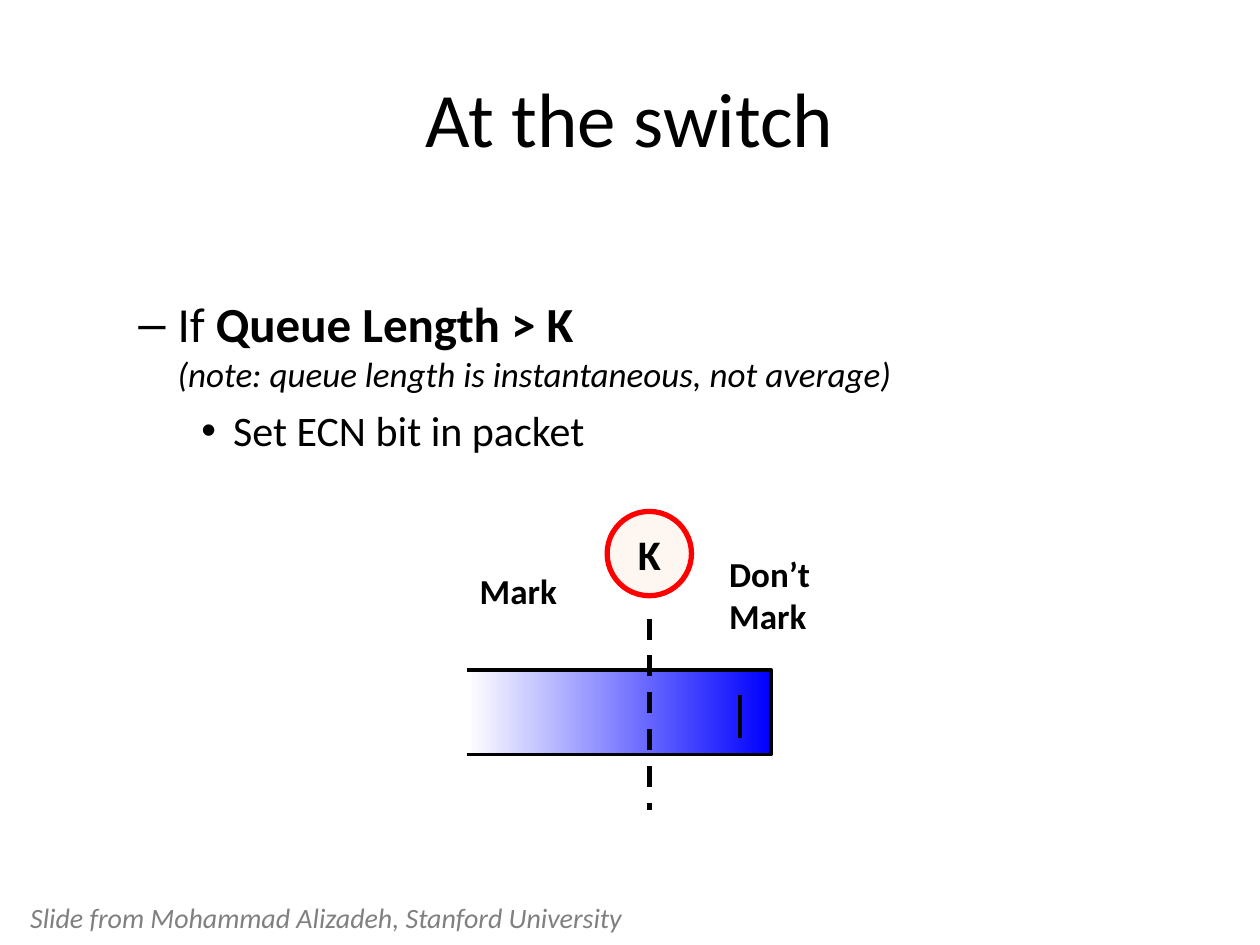
"""Build the slide on how a switch marks packets by queue length."""
from pptx import Presentation
from pptx import util as u
from pptx.dml.color import RGBColor
from pptx.enum import dml, shapes, text
from pptx.oxml.ns import qn
from lxml import etree

COLORS = {"black": "000000", "white": "FFFFFF", "blue": "0000FF",
          "red": "FF0000", "orange": "F79646", "gray": "808080"}


def set_font(paragraph, size, color="black", bold=False, italic=False):
    font = paragraph.font
    font.name, font.size = "Calibri", u.Pt(size)
    font.bold, font.italic = bold, italic
    font.color.rgb = RGBColor.from_string(COLORS[color])


def set_line(shape, width, color="black"):
    shape.line.width = u.Pt(width)
    shape.line.color.rgb = RGBColor.from_string(COLORS[color])


presentation = Presentation()
presentation.slide_width, presentation.slide_height = u.Cm(25.4), u.Cm(19.05)
slide = presentation.slides.add_slide(presentation.slide_layouts[6])

title = slide.shapes.add_textbox(u.Cm(1.27), u.Cm(0.76), u.Cm(22.86), u.Cm(3.18))
title.text_frame.word_wrap = True
title.text_frame.vertical_anchor = text.MSO_ANCHOR.MIDDLE
paragraph = title.text_frame.paragraphs[0]
paragraph.text = "At the switch"
paragraph.alignment = text.PP_ALIGN.CENTER
set_font(paragraph, 44)

body = slide.shapes.add_textbox(u.Cm(1.27), u.Cm(5.8), u.Cm(22.86), u.Cm(4.4))
body.text_frame.word_wrap = True
condition = body.text_frame.paragraphs[0]
action = body.text_frame.add_paragraph()
for paragraph, level, margin, indent, bullet, size in [
        (condition, 1, 2.06, -0.79, "–", 28), (action, 2, 3.18, -0.64, "•", 24)]:
    paragraph.level = level
    properties = paragraph._p.get_or_add_pPr()
    properties.set("marL", str(u.Cm(margin)))
    properties.set("indent", str(u.Cm(indent)))
    etree.SubElement(properties, qn("a:buFont")).set("typeface", "Arial")
    etree.SubElement(properties, qn("a:buChar")).set("char", bullet)
    set_font(paragraph, size)
condition.add_run().text = "If "
rule = condition.add_run()
rule.text = "Queue Length > K"
rule.font.bold = True
condition.add_line_break()
note = condition.add_run()
note.text = "(note: queue length is instantaneous, not average)"
note.font.size, note.font.italic = u.Pt(20), True
action.text = "Set ECN bit in packet"
action.space_before = u.Pt(5.8)

left, top, right, bottom = u.Cm(9.42), u.Cm(13.51), u.Cm(15.54), u.Cm(15.21)
builder = slide.shapes.build_freeform(left, top)
builder.add_line_segments([(right, top), (right, bottom), (left, bottom)], close=False)
queue = builder.convert_to_shape()
queue.shadow.inherit = False
queue.fill.gradient()
queue.fill.gradient_angle = 0
for stop, position, color in zip(queue.fill.gradient_stops, (0, 1), ("white", "blue")):
    stop.position = position
    stop.color.rgb = RGBColor.from_string(COLORS[color])
set_line(queue, 2.25)

for x, start, end, width, dash in [
        (14.91, 14.02, 14.88, 2.25, None),
        (13.09, 12.47, 16.33, 3, dml.MSO_LINE.DASH)]:
    connector = slide.shapes.add_connector(
        shapes.MSO_CONNECTOR.STRAIGHT, u.Cm(x), u.Cm(start), u.Cm(x), u.Cm(end))
    set_line(connector, width)
    connector.line.dash_style = dash
    etree.SubElement(connector._element.spPr, qn("a:effectLst"))

threshold = slide.shapes.add_shape(
    shapes.MSO_SHAPE.OVAL, u.Cm(12.24), u.Cm(10.31), u.Cm(1.7), u.Cm(1.7))
threshold.shadow.inherit = False
threshold.fill.solid()
threshold.fill.fore_color.rgb = RGBColor.from_string(COLORS["orange"])
fill_color = threshold._element.spPr.find(qn("a:solidFill"))[0]
etree.SubElement(fill_color, qn("a:alpha")).set("val", "8000")
set_line(threshold, 3, "red")
threshold.text_frame.vertical_anchor = text.MSO_ANCHOR.MIDDLE
paragraph = threshold.text_frame.paragraphs[0]
paragraph.text = "K"
paragraph.alignment = text.PP_ALIGN.CENTER
set_font(paragraph, 24, bold=True)

for x, y, width, height, wrap, words, size, color, bold in [
        (14.45, 11.02, 2.18, 1.96, True, "Don’t\nMark", 20, "black", True),
        (9.42, 11.35, 2.16, 1.12, True, "Mark", 20, "black", True),
        (0.36, 18.03, 12.75, 0.94, False,
         "Slide from Mohammad Alizadeh, Stanford University", 16, "gray", False)]:
    label = slide.shapes.add_textbox(u.Cm(x), u.Cm(y), u.Cm(width), u.Cm(height))
    label.text_frame.word_wrap = wrap
    label.text_frame.auto_size = text.MSO_AUTO_SIZE.SHAPE_TO_FIT_TEXT
    label.text_frame.text = words
    for paragraph in label.text_frame.paragraphs:
        set_font(paragraph, size, color, bold, italic=not bold)

presentation.save("out.pptx")
